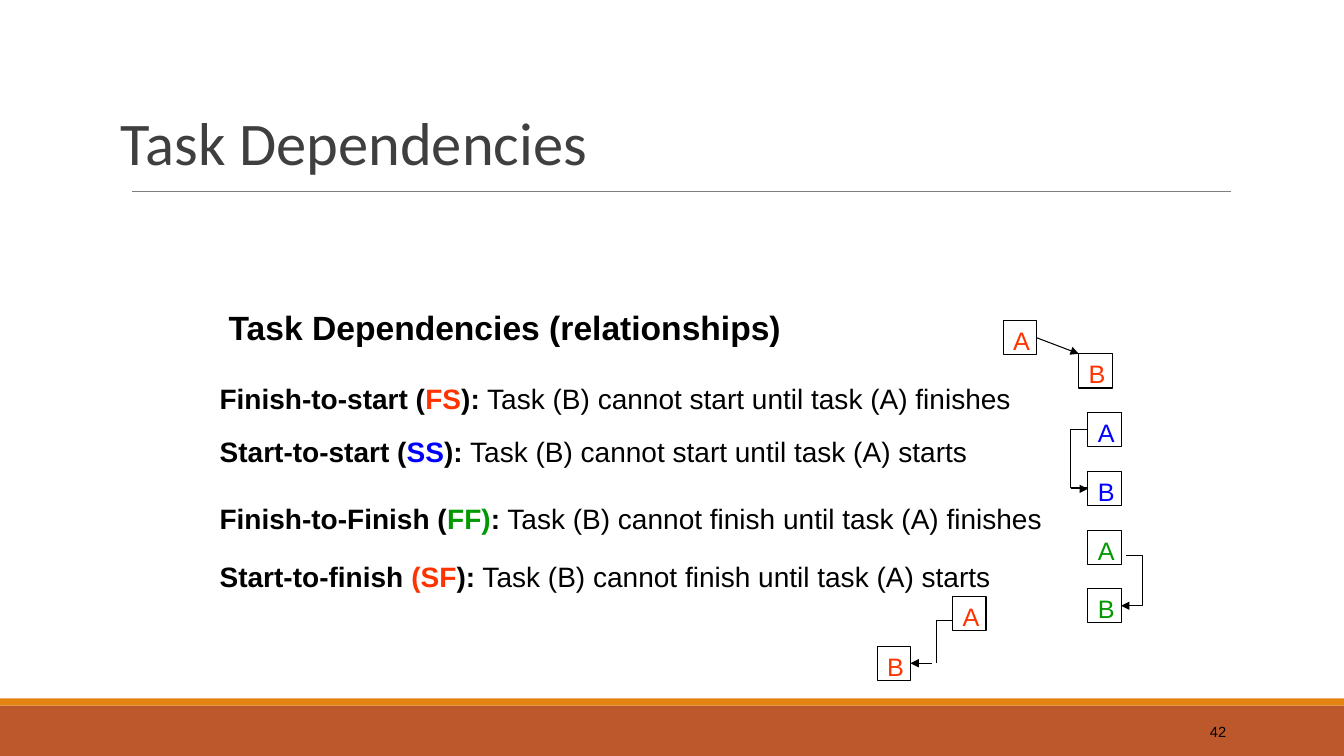
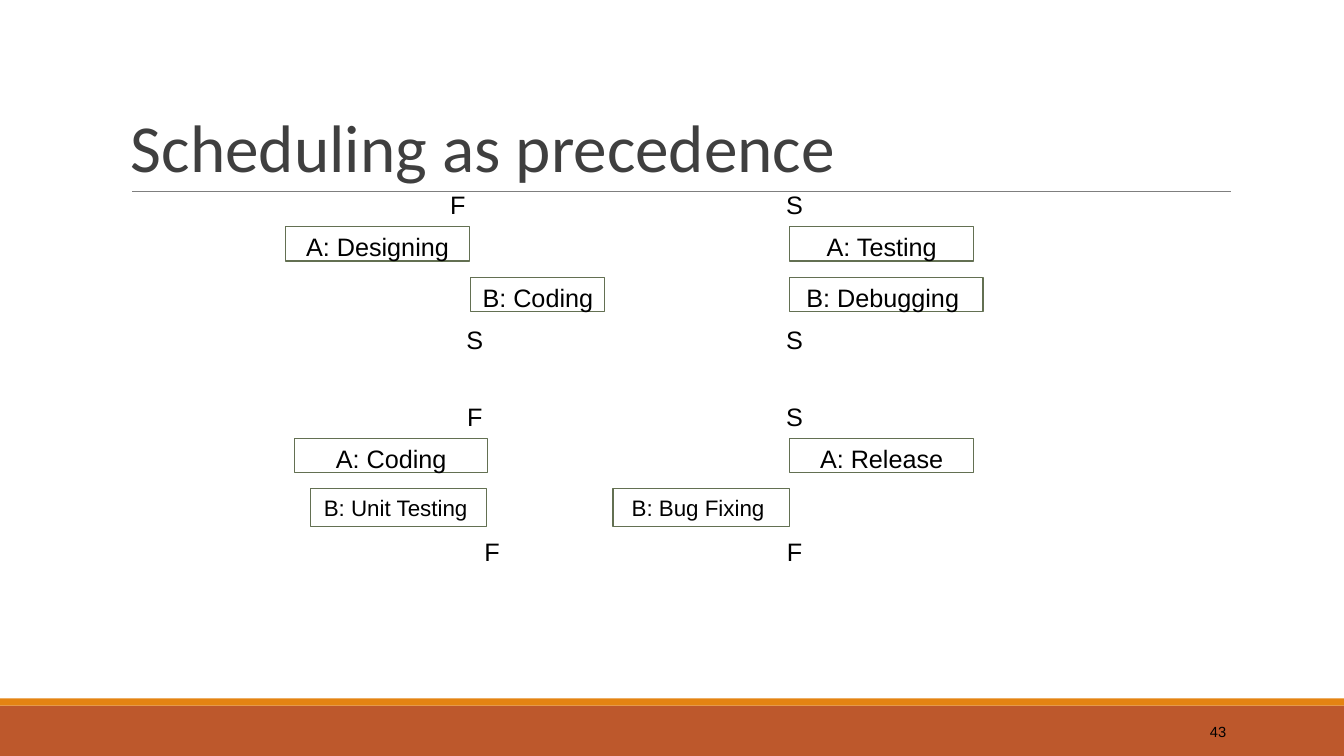
"""Build two slides on task dependencies and scheduling."""
from dataclasses import dataclass

from lxml import etree
from pptx import Presentation
from pptx import util as u
from pptx.dml.color import RGBColor
from pptx.enum import shapes, text
from pptx.oxml import ns

PX = 9144
TOP, LEFT, BOTTOM, RIGHT = range(4)
TASK_WIDTH, TASK_HEIGHT = 33, 34


@dataclass(frozen=True)
class Theme:
    """Hold the colours, fonts and type sizes of the deck."""
    band: str = "BD582C"
    strip: str = "E48312"
    rule: str = "7F7F7F"
    title: str = "3F3F3F"
    ink: str = "000000"
    red: str = "FF3300"
    blue: str = "0000FF"
    green: str = "009900"
    bar_line: str = "637052"
    title_font: str = "Calibri"
    body_font: str = "Arial"
    heading_size: float = 24
    sentence_size: float = 20
    task_size: float = 18
    small_size: float = 16
    number_size: float = 10.5
    line_width: float = 0.75


THEME = Theme()


def px(value):
    """Turn px into EMU."""
    return u.Emu(value * PX)


def color(value):
    """Turn a hex string into a colour."""
    return RGBColor.from_string(value)


def set_line(shape, line_color=THEME.ink):
    """Give a shape or connector the thin line of the deck."""
    shape.line.color.rgb = color(line_color)
    shape.line.width = u.Pt(THEME.line_width)


def write(shape, runs, size, align=text.PP_ALIGN.LEFT, anchor=text.MSO_ANCHOR.TOP,
          font=THEME.body_font, spacing=None):
    """Fill a shape with one paragraph of (text, colour, bold) runs."""
    frame = shape.text_frame
    frame.word_wrap = True
    frame.vertical_anchor = anchor
    paragraph = frame.paragraphs[0]
    paragraph.alignment = align
    if spacing:
        paragraph.line_spacing = spacing
    for words, run_color, bold in runs:
        run = paragraph.add_run()
        run.text = words
        run.font.name = font
        run.font.size = u.Pt(size)
        run.font.bold = bold
        run.font.color.rgb = color(run_color)


def add_text(slide, box, runs, size, **style):
    """Place a text box."""
    write(slide.shapes.add_textbox(*map(px, box)), runs, size, **style)


def add_rectangle(slide, box, fill=None, line=None):
    """Place a plain rectangle with a fill or an outline."""
    shape = slide.shapes.add_shape(shapes.MSO_SHAPE.RECTANGLE, *map(px, box))
    shape.shadow.inherit = False
    if fill:
        shape.fill.solid()
        shape.fill.fore_color.rgb = color(fill)
    else:
        shape.fill.background()
    if line:
        set_line(shape, line)
    else:
        shape.line.fill.background()
    return shape


def add_line(slide, start, end, line_color=THEME.ink, arrow=False):
    """Place a straight line, with an arrowhead at its end if asked."""
    connector = slide.shapes.add_connector(
        shapes.MSO_CONNECTOR.STRAIGHT, *map(px, (*start, *end)))
    set_line(connector, line_color)
    if arrow:
        etree.SubElement(connector.line._get_or_add_ln(), ns.qn("a:tailEnd"), type="triangle")
    etree.SubElement(connector._element.spPr, ns.qn("a:effectLst"))
    return connector


def add_elbow(slide, points):
    """Place an open bent line through the points."""
    builder = slide.shapes.build_freeform(*points[0], scale=PX)
    builder.add_line_segments(points[1:], close=False)
    elbow = builder.convert_to_shape()
    elbow.shadow.inherit = False
    elbow.fill.background()
    set_line(elbow)


def add_base(presentation, title, title_box, title_size, number):
    """Add a slide with its bands, rule, title and number."""
    slide = presentation.slides.add_slide(presentation.slide_layouts[6])
    add_rectangle(slide, (0, 700, 1333, 50), fill=THEME.band)
    add_rectangle(slide, (0, 693, 1333, 7), fill=THEME.strip)
    add_line(slide, (131, 190), (1221, 190), THEME.rule)
    add_text(slide, title_box, [(title, THEME.title, False)], title_size,
             anchor=text.MSO_ANCHOR.BOTTOM, font=THEME.title_font, spacing=0.85)
    add_text(slide, (1083, 706, 143, 40), [(str(number), THEME.ink, False)],
             THEME.number_size, align=text.PP_ALIGN.RIGHT, anchor=text.MSO_ANCHOR.MIDDLE)
    return slide


def add_task(slide, left, top, name, name_color):
    """Place a small square naming one task."""
    square = add_rectangle(slide, (left, top, TASK_WIDTH, TASK_HEIGHT), line=THEME.ink)
    write(square, [(name, name_color, False)], THEME.task_size)
    return square


def add_dependency(slide, box, runs, accent, first, second, elbow, arrow_start, side):
    """Place a sentence and its linked tasks, relative to the sentence box."""
    left, top = box[:2]
    add_text(slide, box, runs, THEME.sentence_size)
    first_left, first_top = left + first[0], top + first[1]
    second_left, second_top = left + second[0], top + second[1]
    task_a = add_task(slide, first_left, first_top, "A", accent)
    task_b = add_task(slide, second_left, second_top, "B", accent)
    if not elbow:
        arrow = add_line(slide, (first_left + TASK_WIDTH, first_top + TASK_HEIGHT // 2),
                         (second_left, second_top), arrow=True)
        arrow.begin_connect(task_a, RIGHT)
        return
    add_elbow(slide, [(first_left + x, first_top + y) for x, y in elbow])
    end = (second_left + (TASK_WIDTH if side == RIGHT else 0), second_top + TASK_HEIGHT // 2)
    start = (first_left + arrow_start, end[1])
    add_line(slide, start, end, arrow=True).end_connect(task_b, side)


def add_precedence(slide, left, top, first, second, marks, size=THEME.task_size):
    """Place two task bars and their start or finish marks, relative to a corner."""
    heights = (TASK_HEIGHT, 34 if size == THEME.task_size else 37)
    sizes = (THEME.task_size, size)
    for (name, x, width), y, height, bar_size in zip((first, second), (42, 92), heights, sizes):
        bar = add_rectangle(slide, (left + x, top + y, width, height), line=THEME.bar_line)
        write(bar, [(name, THEME.ink, False)], bar_size, align=text.PP_ALIGN.CENTER)
    for (letter, x), y in zip(marks, (0, 134)):
        add_text(slide, (left + x, top + y, 42, 34), [(letter, THEME.ink, False)],
                 THEME.task_size, align=text.PP_ALIGN.CENTER)


def add_dependencies_slide(presentation):
    """Build the slide that defines the four dependencies."""
    slide = add_base(presentation, "Task Dependencies", (110, 123, 501, 58), 43.2, 42)
    add_text(slide, (217, 300, 570, 50),
             [("Task Dependencies (relationships)", THEME.ink, True)], THEME.heading_size)
    dependencies = [
        (374, 806, ("Finish-to-start (", "FS", "):"), "start until task (A) finishes",
         THEME.red, (787, -56), (862, -23), None, None, None),
        (426, 762, ("Start-to-start (", "SS", "):"), "start until task (A) starts",
         THEME.blue, (871, -17), (871, 42),
         [(0, 17), (-17, 17), (-17, 75), (0, 75)], -17, LEFT),
        (493, 837, ("Finish-to-Finish (", "FF)", ":"), "finish until task (A) finishes",
         THEME.green, (871, 33), (871, 91),
         [(38, 25), (54, 25), (54, 75), (38, 75)], 54, RIGHT),
        (550, 786, ("Start-to-finish ", "(SF", "):"), "finish until task (A) starts",
         THEME.red, (737, 42), (662, 91),
         [(0, 24), (-16, 24), (-16, 66)], -21, RIGHT),
    ]
    for top, width, (name, code, close), rule, accent, *diagram in dependencies:
        runs = [(name, THEME.ink, True), (code, accent, True), (close, THEME.ink, True),
                (f" Task (B) cannot {rule}", THEME.ink, False)]
        add_dependency(slide, (208, top, width, 43), runs, accent, *diagram)


def add_precedence_slide(presentation):
    """Build the slide that shows the four precedences as bars."""
    slide = add_base(presentation, "Scheduling as precedence", (120, 31, 1100, 159), 48, 43)
    upper, lower = 183, 393
    add_precedence(slide, 283, upper, ("A: Designing", 0, 183), ("B: Coding", 184, 133),
                   (("F", 150), ("S", 167)))
    add_precedence(slide, 767, upper, ("A: Testing", 16, 183), ("B: Debugging ", 16, 192),
                   (("S", 0), ("S", 0)))
    add_precedence(slide, 292, lower, ("A: Coding", 0, 192), ("B: Unit Testing ", 16, 175),
                   (("F", 158), ("F", 175)), THEME.small_size)
    add_precedence(slide, 608, lower, ("A: Release", 175, 183), ("B: Bug Fixing ", 0, 175),
                   (("S", 159), ("F", 159)), THEME.small_size)


def main():
    """Build and save the presentation."""
    presentation = Presentation()
    presentation.slide_width, presentation.slide_height = px(1333), px(750)
    add_dependencies_slide(presentation)
    add_precedence_slide(presentation)
    presentation.save("out.pptx")


if __name__ == "__main__":
    main()
